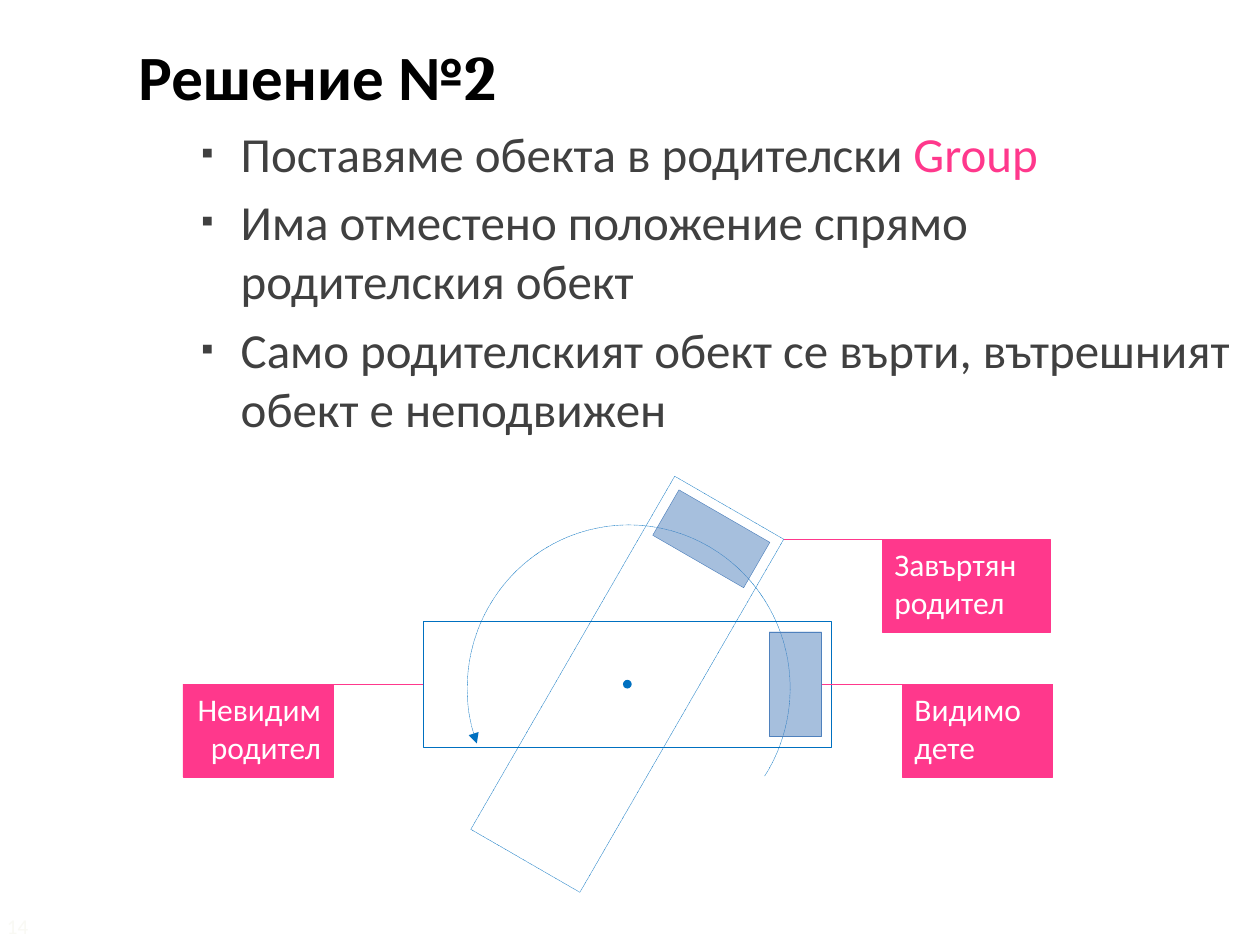
import math
from dataclasses import dataclass

from lxml import etree
from pptx import Presentation
from pptx.dml.color import RGBColor
from pptx.enum.dml import MSO_LINE
from pptx.enum.shapes import MSO_CONNECTOR, MSO_SHAPE
from pptx.enum.text import MSO_ANCHOR, PP_ALIGN
from pptx.oxml.ns import qn
from pptx.util import Pt

RECTANGLE, OVAL, ARC = MSO_SHAPE.RECTANGLE, MSO_SHAPE.OVAL, MSO_SHAPE.ARC
STRAIGHT, DOTTED = MSO_CONNECTOR.STRAIGHT, MSO_LINE.ROUND_DOT
LEFT, RIGHT, TOP = PP_ALIGN.LEFT, PP_ALIGN.RIGHT, MSO_ANCHOR.TOP
LEFT_SIDE, RIGHT_SIDE = 1, 3


@dataclass(frozen=True)
class Theme:
    font: str = "Calibri"
    digit_font: str = "Cambria"
    title: str = "000000"
    body: str = "404040"
    accent: str = "FF388C"
    outline: str = "0070C0"
    child: str = "4F81BD"
    white: str = "FFFFFF"
    faint: str = "F9F9F4"
    title_size: float = 36
    body_size: float = 28
    label_size: float = 18
    number_size: float = 12
    line_width: float = 0.25


THEME = Theme()
BULLETS = [
    [("Поставяме обекта в родителски ", THEME.body), ("Group", THEME.accent)],
    [("Има отместено положение спрямо родителския обект", THEME.body)],
    [("Само родителският обект се върти, вътрешният обект е неподвижен", THEME.body)],
]


def rgb(color):
    return RGBColor.from_string(color)


def add_run(paragraph, text, size, color, bold=False, font=THEME.font):
    run = paragraph.add_run()
    run.text = text
    run.font.name, run.font.size, run.font.bold = font, Pt(size), bold
    run.font.color.rgb = rgb(color)


def add_bullet(paragraph):
    properties = paragraph._p.get_or_add_pPr()
    properties.set("marL", str(Pt(58.5)))
    properties.set("indent", str(Pt(-22.5)))
    color = etree.SubElement(properties, qn("a:buClr"))
    etree.SubElement(color, qn("a:srgbClr"), val=THEME.body)
    etree.SubElement(properties, qn("a:buSzPct"), val="70000")
    etree.SubElement(properties, qn("a:buFont"), typeface=THEME.font)
    etree.SubElement(properties, qn("a:buChar"), char="▪")


def add_text_box(slide, left, top, width, height):
    box = slide.shapes.add_textbox(Pt(left), Pt(top), Pt(width), Pt(height))
    box.text_frame.word_wrap = True
    return box.text_frame


def add_shape(slide, kind, box, fill=None, line=None, alpha=None, dotted=False):
    shape = slide.shapes.add_shape(kind, *(Pt(length) for length in box))
    shape.shadow.inherit = False
    if fill:
        shape.fill.solid()
        shape.fill.fore_color.rgb = rgb(fill)
    else:
        shape.fill.background()
    if alpha:
        color = shape.fill._xPr.find(qn("a:solidFill"))[0]
        etree.SubElement(color, qn("a:alpha"), val=str(alpha * 1000))
    if line:
        shape.line.color.rgb = rgb(line)
        shape.line.width = Pt(THEME.line_width)
    else:
        shape.line.fill.background()
    if dotted:
        shape.line.dash_style = DOTTED
    return shape


def add_text(slide, left, top, width, height):
    """Title and bullet list."""
    frame = add_text_box(slide, left, top, width, height)
    heading = frame.paragraphs[0]
    add_run(heading, "Решение №", THEME.title_size, THEME.title, True)
    add_run(heading, "2", THEME.title_size, THEME.title, True, THEME.digit_font)
    for parts in BULLETS:
        paragraph = frame.add_paragraph()
        add_bullet(paragraph)
        paragraph.space_before = Pt(0.2 * THEME.body_size)
        for text, color in parts:
            add_run(paragraph, text, THEME.body_size, color)


def add_callout(slide, box, text, target, align=LEFT, joined=None, side=None):
    """Label whose top edge runs on as a line to the target point."""
    left, top, width, height = box
    label = add_shape(slide, RECTANGLE, box, THEME.accent, THEME.accent)
    frame = label.text_frame
    frame.word_wrap, frame.vertical_anchor = True, TOP
    paragraph = frame.paragraphs[0]
    paragraph.alignment = align
    add_run(paragraph, text, THEME.label_size, THEME.white)

    far_edge = left if target[0] > left else left + width
    leader = slide.shapes.add_connector(
        STRAIGHT, Pt(target[0]), Pt(target[1]), Pt(far_edge), Pt(top))
    leader.line.color.rgb = rgb(THEME.accent)
    leader.line.width = Pt(THEME.line_width)
    etree.SubElement(leader._element.spPr, qn("a:effectLst"))
    if joined is not None:
        leader.begin_connect(joined, side)


def add_parent_and_child(slide, center, size, child_size, child_offset, angle=0):
    """Outlined parent and its child, turned about the parent's center."""
    turn = math.radians(angle)
    child_center = (center[0] + child_offset * math.cos(turn),
                    center[1] + child_offset * math.sin(turn))

    def box_around(middle, extent):
        return (middle[0] - extent[0] / 2, middle[1] - extent[1] / 2, *extent)

    child = add_shape(slide, RECTANGLE, box_around(child_center, child_size),
                      THEME.child, THEME.child, alpha=50)
    parent = add_shape(slide, RECTANGLE, box_around(center, size),
                       line=THEME.outline, dotted=True)
    child.rotation = parent.rotation = angle
    return parent, child


def add_diagram(slide, left, top, width, height):
    """Parent at rest and turned, with the rotation arc and the labels."""
    middle_x, middle_y = left + width / 2, top + height / 2
    center, size = (middle_x, middle_y), (width, height)
    child_size, child_offset, angle = (30, 60), 96, -60

    # Rotation arc with an arrowhead at its start
    arc = add_shape(slide, ARC, (middle_x - 91.5, middle_y - 91, 184.5, 186.5),
                    line=THEME.outline, dotted=True)
    arc.adjustments[0], arc.adjustments[1] = 95.981, 19.726
    etree.SubElement(arc.line._get_or_add_ln(), qn("a:headEnd"), type="triangle")

    # Both positions and the pivot
    parent, child = add_parent_and_child(
        slide, center, size, child_size, child_offset)
    add_shape(slide, OVAL, (middle_x - 2.5, middle_y - 2.5, 5, 5), THEME.outline)
    add_parent_and_child(slide, center, size, child_size, child_offset, angle)

    # Labels
    turn = math.radians(angle)
    corner = (middle_x + width / 2 * math.cos(turn) - height / 2 * math.sin(turn),
              middle_y + width / 2 * math.sin(turn) + height / 2 * math.cos(turn))
    child_edge = middle_x + child_offset + child_size[0] / 2
    add_callout(slide, (left - 137.5, middle_y, 86, 53), "Невидим родител",
                (left, middle_y), RIGHT, parent, LEFT_SIDE)
    add_callout(slide, (left + 273.5, middle_y, 86, 53), "Видимо дете",
                (child_edge, middle_y), LEFT, child, RIGHT_SIDE)
    add_callout(slide, (left + 262, corner[1], 96, 53), "Завъртян родител", corner)


def add_slide_number(slide, left, top, width, height):
    frame = add_text_box(slide, left, top, width, height)
    frame.margin_left = frame.margin_top = 0
    add_run(frame.paragraphs[0], "14", THEME.number_size, THEME.faint)


def main():
    presentation = Presentation()
    presentation.slide_width, presentation.slide_height = Pt(720), Pt(540)
    slide = presentation.slides.add_slide(presentation.slide_layouts[6])
    add_text(slide, 72, 18, 642, 516)
    add_diagram(slide, 242, 355, 233, 72)
    add_slide_number(slide, 4, 522, 40, 18)
    presentation.save("out.pptx")


if __name__ == "__main__":
    main()
